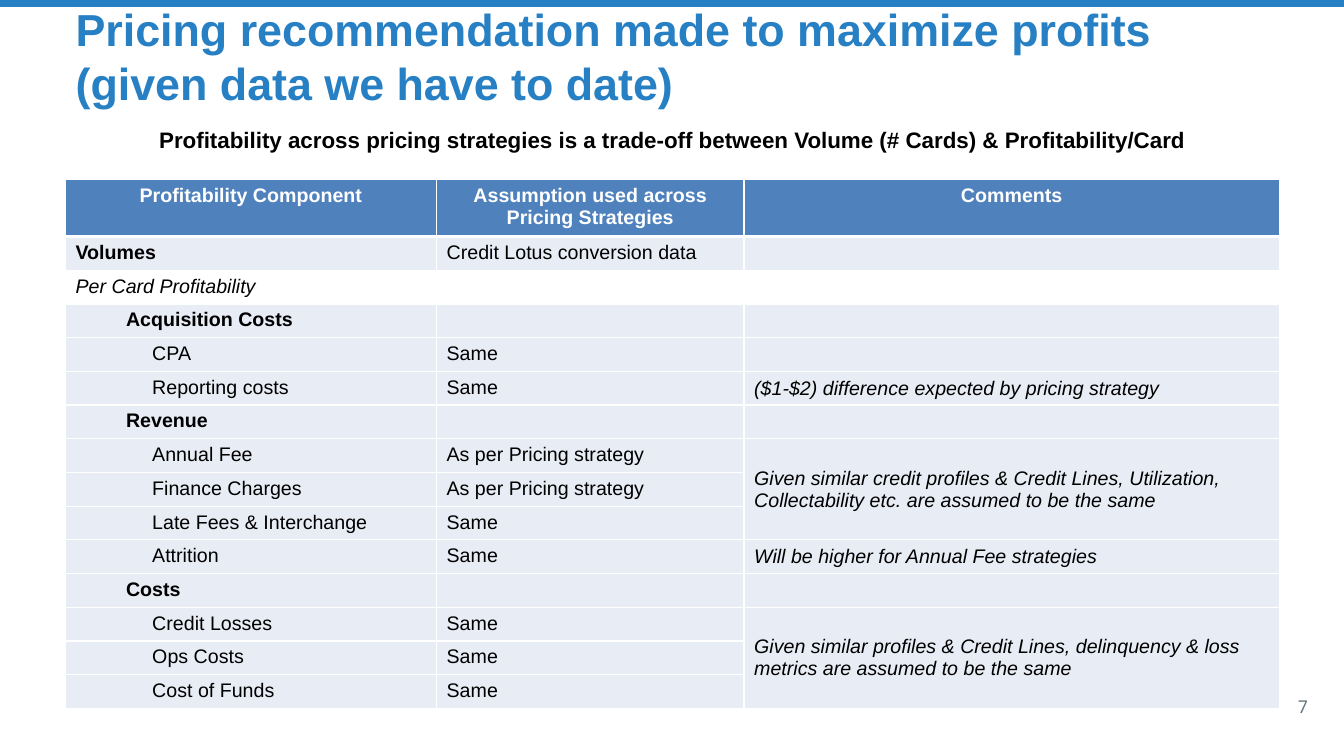
from lxml import etree
from pptx import Presentation
from pptx.dml.color import RGBColor
from pptx.enum import shapes, text
from pptx.oxml import ns
from pptx.util import Inches, Pt

BLUE = RGBColor(0x27, 0x80, 0xC3)
HEADER_BLUE = RGBColor(0x4F, 0x81, 0xBD)
PALE = RGBColor(0xE8, 0xEC, 0xF4)
GREY = RGBColor(0x5E, 0x6E, 0x75)
BLACK = RGBColor(0, 0, 0)
WHITE = RGBColor(0xFF, 0xFF, 0xFF)

GROUP, ITEM = 0.5, 0.76  # indents of the first column
HEADERS = ["Profitability Component", "Assumption used across Pricing Strategies", "Comments"]
# component, indent, assumption, comment, rows the comment spans
ROWS = [
    ("Volumes", 0, "Credit Lotus conversion data", "", 1),
    ("Per Card Profitability", 0, "", "", 1),
    ("Acquisition Costs", GROUP, "", "", 1),
    ("CPA", ITEM, "Same", "", 1),
    ("Reporting costs", ITEM, "Same", "($1-$2) difference expected by pricing strategy", 1),
    ("Revenue", GROUP, "", "", 1),
    ("Annual Fee", ITEM, "As per Pricing strategy",
     "Given similar credit profiles & Credit Lines, Utilization, "
     "Collectability etc. are assumed to be the same", 3),
    ("Finance Charges", ITEM, "As per Pricing strategy", "", 1),
    ("Late Fees & Interchange", ITEM, "Same", "", 1),
    ("Attrition", ITEM, "Same", "Will be higher for Annual Fee strategies", 1),
    ("Costs", GROUP, "", "", 1),
    ("Credit Losses", ITEM, "Same",
     "Given similar profiles & Credit Lines, delinquency & loss "
     "metrics are assumed to be the same", 3),
    ("Ops Costs", ITEM, "Same", "", 1),
    ("Cost of Funds", ITEM, "Same", "", 1),
]
SUBHEAD = "Per Card Profitability"


def write(tf, words, size=14, font="Arial", color=BLACK, bold=False, italic=False,
          align=text.PP_ALIGN.LEFT, indent=0):
    p = tf.paragraphs[0]
    p.alignment = align
    if indent:
        p._p.get_or_add_pPr().set("marL", str(Inches(indent)))
    if not words:  # keeps the row of an empty cell from growing
        etree.SubElement(p._p, ns.qn("a:endParaRPr"), sz=str(size * 100))
        return
    r = p.add_run()
    r.text = words
    f = r.font
    f.name, f.size, f.bold, f.italic = font, Pt(size), bold, italic
    f.color.rgb = color


class Deck:
    def __init__(self):
        self.prs = Presentation()
        self.prs.slide_width, self.prs.slide_height = Inches(13.33), Inches(7.5)
        self.s = self.prs.slides.add_slide(self.prs.slide_layouts[5])

    def bar(self, x, y, w, h, color):
        sp = self.s.shapes.add_shape(shapes.MSO_SHAPE.RECTANGLE, *map(Inches, (x, y, w, h)))
        sp.shadow.inherit = False
        sp.fill.solid()
        sp.fill.fore_color.rgb = color
        sp.line.fill.background()

    def title(self, x, y, w, h, words):
        sp = self.s.shapes.title
        sp.left, sp.top, sp.width, sp.height = map(Inches, (x, y, w, h))
        tf = sp.text_frame
        tf.word_wrap, tf.auto_size = True, text.MSO_AUTO_SIZE.NONE
        tf.vertical_anchor = text.MSO_ANCHOR.MIDDLE
        write(tf, words, size=32, color=BLUE, bold=True)

    def label(self, x, y, w, h, words, **style):
        tf = self.s.shapes.add_textbox(*map(Inches, (x, y, w, h))).text_frame
        tf.word_wrap = True
        write(tf, words, **style)

    def table(self, x, y, widths, header_height, row_height, count):
        height = header_height + row_height * (count - 1)
        frame = self.s.shapes.add_table(
            count, len(widths), *map(Inches, (x, y, sum(widths), height)))
        t = frame.table
        t.horz_banding = False
        for col, width in zip(t.columns, widths):
            col.width = Inches(width)
        for i, row in enumerate(t.rows):
            row.height = Inches(row_height if i else header_height)
        return t

    def cell(self, c, words, fill=PALE, bottom=1, **style):
        write(c.text_frame, words, **style)
        tcPr = c._tc.get_or_add_tcPr()
        for side, width in (("L", 1), ("R", 1), ("T", 1), ("B", bottom)):
            ln = etree.SubElement(tcPr, ns.qn("a:ln" + side), w=str(Pt(width)))
            solid = etree.SubElement(ln, ns.qn("a:solidFill"))
            etree.SubElement(solid, ns.qn("a:srgbClr"), val=str(WHITE))
        if fill is None:
            c.fill.background()
        else:
            c.fill.solid()
            c.fill.fore_color.rgb = fill


def main():
    deck = Deck()
    deck.bar(0, 0, 13.33, 0.07, BLUE)
    deck.title(0.65, 0, 12.03, 1.11,
               "Pricing recommendation made to maximize profits (given data we have to date)")
    deck.label(9.96, 6.85, 3.11, 0.4, "7", size=12.6, font="Open Sans", color=GREY,
               align=text.PP_ALIGN.RIGHT)
    deck.label(1.17, 1.2, 11, 0.37,
               "Profitability across pricing strategies is a trade-off between "
               "Volume (# Cards) & Profitability/Card",
               size=16, bold=True, align=text.PP_ALIGN.CENTER)

    header_height = 0.55
    t = deck.table(0.65, 1.78, [3.68, 3.05, 5.31], header_height,
                   (5.23 - header_height) / len(ROWS), len(ROWS) + 1)
    for j, words in enumerate(HEADERS):
        deck.cell(t.cell(0, j), words, fill=HEADER_BLUE, bottom=3, color=WHITE, bold=True,
                  align=text.PP_ALIGN.CENTER)
    for i, (component, indent, assumption, comment, span) in enumerate(ROWS, 1):
        sub = component == SUBHEAD
        fill = None if sub else PALE
        deck.cell(t.cell(i, 0), component, fill, bold=indent != ITEM and not sub,
                  italic=sub, indent=indent)
        deck.cell(t.cell(i, 1), assumption, fill)
        deck.cell(t.cell(i, 2), comment, fill, italic=True)
        if comment:
            t.cell(i, 2).vertical_anchor = text.MSO_ANCHOR.MIDDLE
        if span > 1:
            t.cell(i, 2).merge(t.cell(i + span - 1, 2))
    deck.prs.save("out.pptx")


if __name__ == "__main__":
    main()
